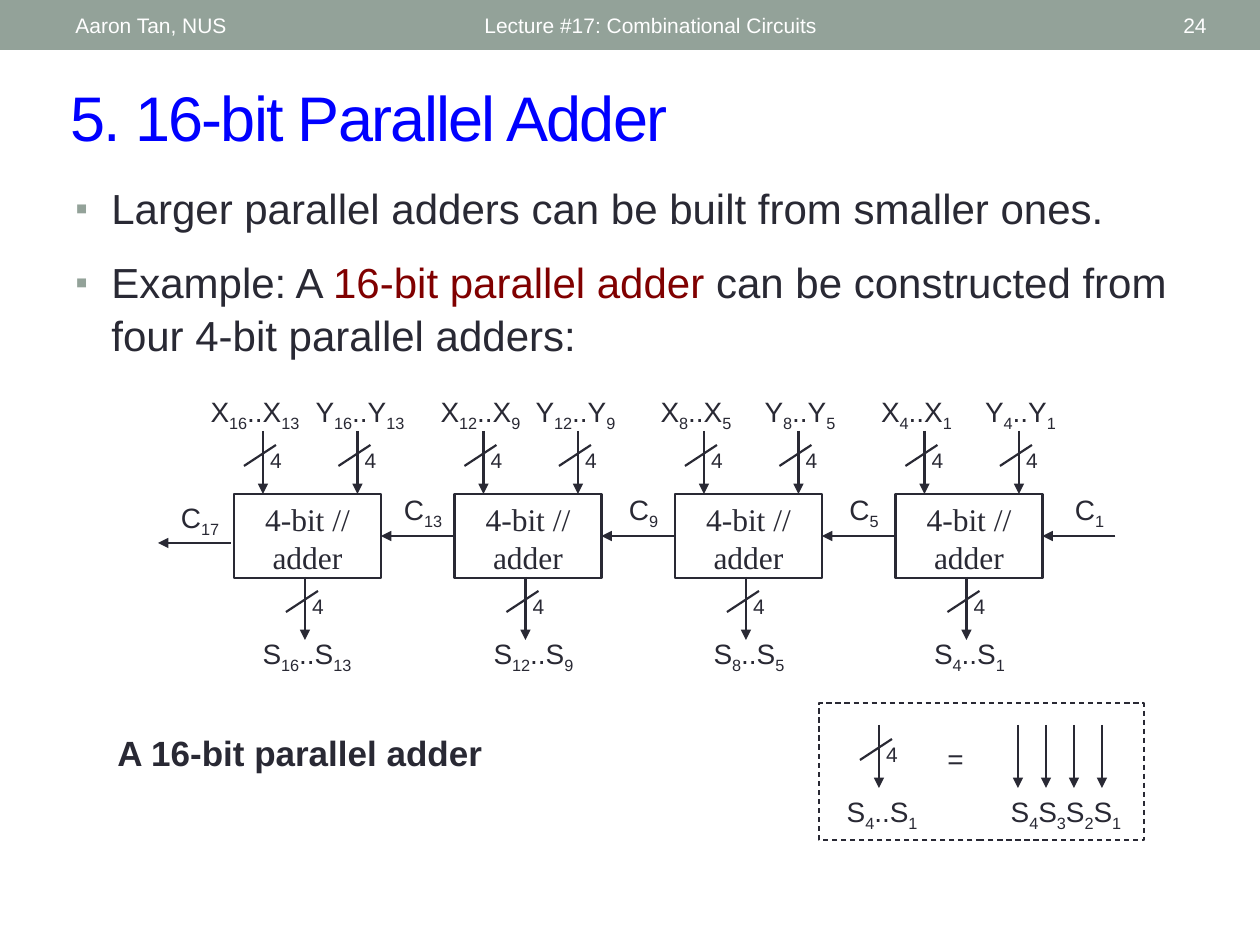
import pptx
import pptx.util
import pptx.dml.color
import pptx.enum.dml
import pptx.enum.shapes
import pptx.enum.text
import pptx.oxml.ns
from lxml import etree

# Content; odd parts between bars are subscripts
HEAD = [  # text, left, width, alignment
    ("Aaron Tan, NUS", 63, 399, "LEFT"),
    ("Lecture #17: Combinational Circuits", 472, 567, "LEFT"),
    ("24", 1099, 120, "RIGHT"),
]
TITLE = "5. 16-bit Parallel Adder"
BODY = [
    [("Larger parallel adders can be built from smaller ones.", "ink")],
    [("Example: A ", "ink"), ("16-bit parallel adder", "red"),
     (" can be constructed from four 4-bit parallel adders:", "ink")],
]
ADDERS = [  # bit range, carry in, label centres of X, Y, S and carry
    ("16", "13", "13", (21, 126, 73, 189)),
    ("12", "9", "9", (26, 121, 79, 189)),
    ("8", "5", "5", (21, 125, 74, 189)),
    ("4", "1", "1", (21, 125, 74, 194)),
]
CAPTION = "A 16-bit parallel adder"

COLORS = {"bar": "93A299", "blue": "0000FF", "ink": "292934",
          "red": "800000", "white": "FFFFFF"}
PX = 914400 / 126

prs = pptx.Presentation()
prs.slide_width, prs.slide_height = round(1260 * PX), round(945 * PX)
slide = prs.slides.add_slide(prs.slide_layouts[6])
shapes = slide.shapes


def emu(*nums):
    return [round(n * PX) for n in nums]


def rgb(name):
    return pptx.dml.color.RGBColor.from_string(COLORS[name])


def sub(node, tag, **attrs):
    return etree.SubElement(node, pptx.oxml.ns.qn("a:" + tag), attrs)


def style(run, size, color="ink", font="Arial", bold=False):
    run.font.size = pptx.util.Pt(size)
    run.font.name = font
    run.font.bold = bold
    run.font.color.rgb = rgb(color)


def text(words, x, y, w, h, size, align="CENTER", color="ink",
         anchor="TOP", bold=False, inset=True):
    frame = shapes.add_textbox(*emu(x, y, w, h)).text_frame
    frame.word_wrap = True
    frame.vertical_anchor = getattr(pptx.enum.text.MSO_ANCHOR, anchor)
    if not inset:
        frame.margin_left = frame.margin_right = emu(1)[0]
    para = frame.paragraphs[0]
    para.alignment = getattr(pptx.enum.text.PP_ALIGN, align)
    for i, part in enumerate(words.split("|")):
        if part:
            run = para.add_run()
            run.text = part
            style(run, size, color, bold=bold)
            if i % 2:
                run.font._element.set("baseline", "-25000")
    return frame


def label(words, mid, y, w):
    text(words, mid - w / 2, y, w, 47, 16)


def line(x1, y1, x2, y2, arrow=True):
    link = shapes.add_connector(pptx.enum.shapes.MSO_CONNECTOR.STRAIGHT,
                                *emu(x1, y1, x2, y2))
    link.line.color.rgb = rgb("ink")
    link.line.width = pptx.util.Pt(1.25)
    if arrow:
        sub(link.line._get_or_add_ln(), "tailEnd", type="triangle")
    sub(link._element.spPr, "effectLst")


def bus(x, y):
    line(x, y, x, y + 63)
    line(x + 13, y + 14, x - 19, y + 35, arrow=False)
    text("4", x - 8, y + 10, 42, 38, 12)


def rect(x, y, w, h, fill=None, width=None):
    box = shapes.add_shape(pptx.enum.shapes.MSO_SHAPE.RECTANGLE,
                           *emu(x, y, w, h))
    box.shadow.inherit = False
    if fill:
        box.fill.solid()
        box.fill.fore_color.rgb = rgb(fill)
    else:
        box.fill.background()
    if width:
        box.line.color.rgb = rgb("ink")
        box.line.width = pptx.util.Pt(width)
    else:
        box.line.fill.background()
    return box


# Header bar and title
rect(0, 0, 1260, 50, fill="bar")
for words, x, w, align in HEAD:
    text(words, x, 3, w, 45, 12, align, "white", "MIDDLE")
title = text(TITLE, 58, 72, 1160, 88, 36, "LEFT", "blue", "MIDDLE")
title.paragraphs[0].runs[0].font._element.set("spc", "-100")

# Bulleted body
frame = text("", 63, 174, 1134, 190, 24, "LEFT")
for i, parts in enumerate(BODY):
    para = frame.add_paragraph() if i else frame.paragraphs[0]
    para.line_spacing = 1.05
    if i:
        para.space_before = pptx.util.Pt(12)
    props = para._p.get_or_add_pPr()
    props.set("marL", str(emu(36)[0]))
    props.set("indent", str(-emu(36)[0]))
    sub(sub(props, "buClr"), "srgbClr", val=COLORS["bar"])
    sub(props, "buSzPct", val="85000")
    sub(props, "buFont", typeface="Arial")
    sub(props, "buChar", char="▪")
    for words, color in parts:
        run = para.add_run()
        run.text = words
        style(run, 24, color)

# Chain of adders
for i, (high, low, carry, mids) in enumerate(ADDERS):
    x = 234 + 220.5 * i
    box = rect(x, 494, 147, 84, width=1.5)
    frame = box.text_frame
    frame.word_wrap = True
    frame.vertical_anchor = pptx.enum.text.MSO_ANCHOR.TOP
    frame.text = "4-bit // adder"
    frame.paragraphs[0].alignment = pptx.enum.text.PP_ALIGN.CENTER
    style(frame.paragraphs[0].runs[0], 18, font="Times New Roman")
    for name, mid, y in zip("XYS", mids, (388, 388, 630)):
        label(f"{name}|{high}|..{name}|{low}", x + mid, y, 126)
    for dx, y in ((29, 431), (123.5, 431), (71, 577)):
        bus(x + dx, y)
    line(x + 220, 536, x + 147, 536)
    label(f"C|{carry}", x + mids[3], 486, 73)
line(231, 543, 158, 543)
label("C|17", 200, 494, 73)

# Caption
text(CAPTION, 105, 725, 399, 54, 20, "LEFT", bold=True)

# Legend
frame = rect(819, 703, 325, 137, width=0.75)
frame.line.dash_style = pptx.enum.dml.MSO_LINE.DASH
bus(879, 725)
label("S|4|..S|1", 882, 788, 105)
text("=", 924, 735, 63, 47, 16, inset=False)
for i in range(4):
    x = 1018 + 28 * i
    line(x, 725, x, 788)
text("S|4|S|3|S|2|S|1", 998, 788, 136, 47, 16, inset=False)

prs.save("out.pptx")
